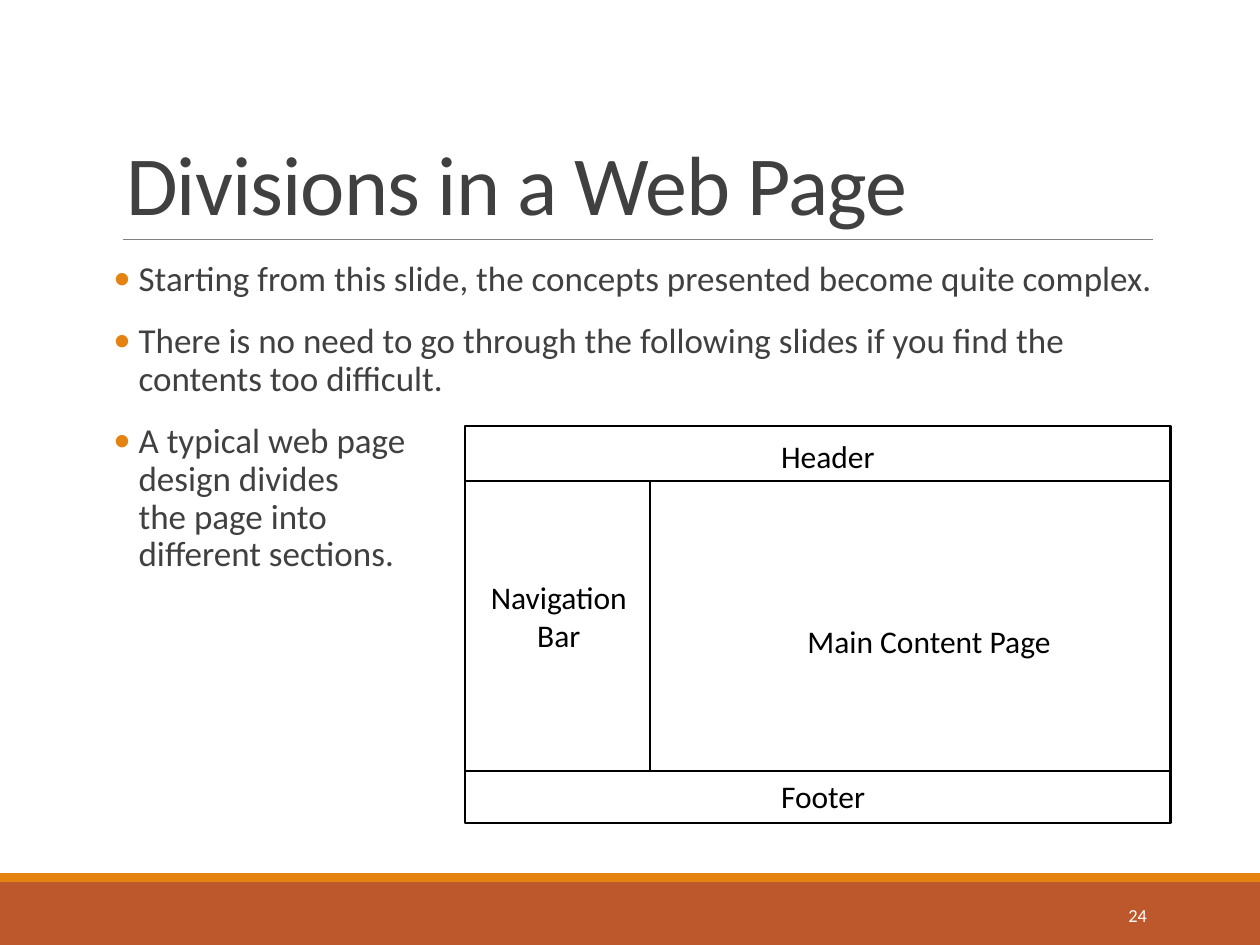
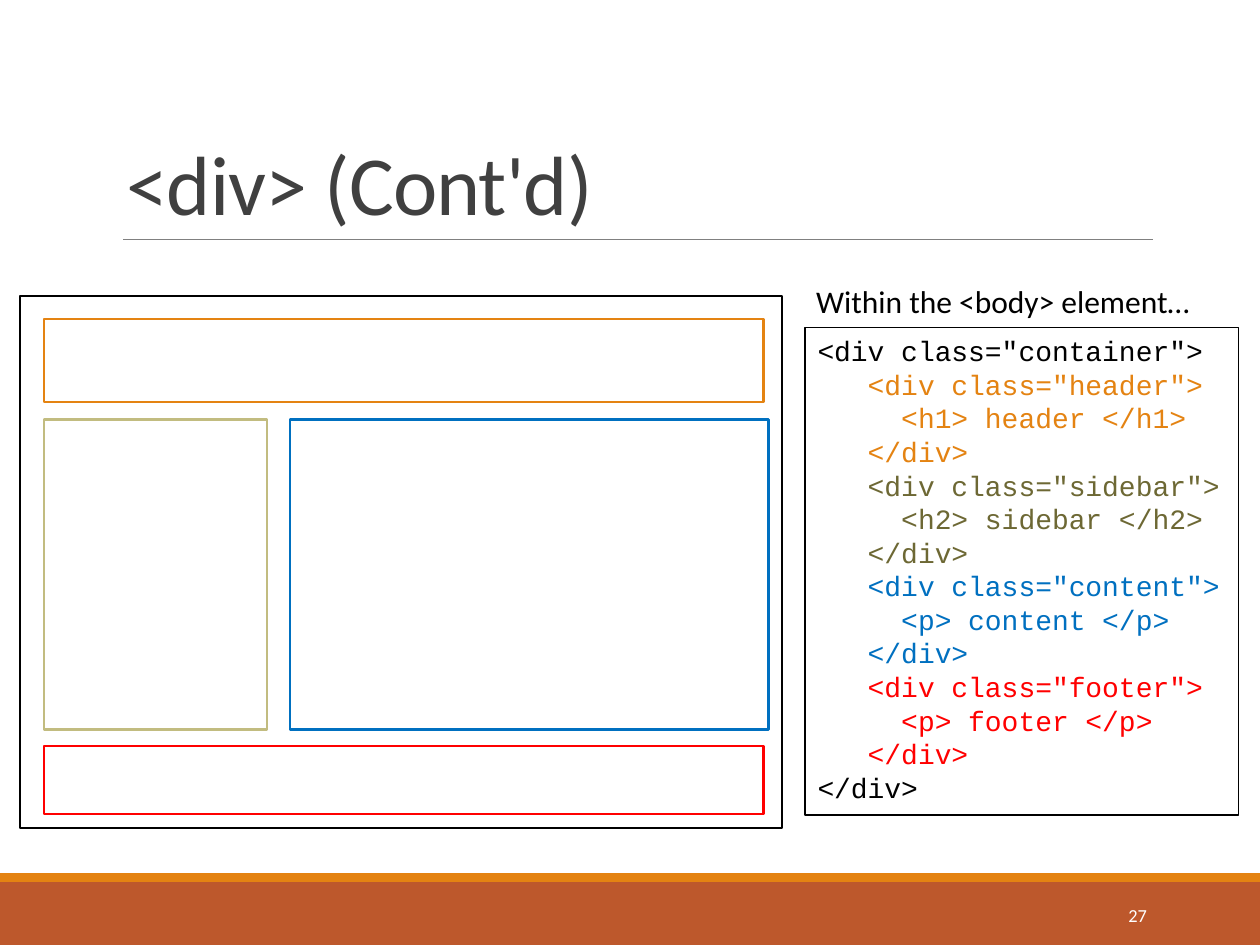
import copy

import pptx
import pptx.dml.color
import pptx.enum.shapes
import pptx.enum.text
import pptx.oxml
import pptx.oxml.ns
import pptx.util

PX = 9144
TITLE_AND_CONTENT, TITLE_ONLY = 1, 5
BLACK, WHITE, GREY, RULE_GREY = "000000", "FFFFFF", "404040", "808080"
ORANGE, RUST, BLUE, RED = "E48312", "BD582C", "0070C0", "FF0000"
SAND, OLIVE = "C2BC80", "6D6834"
ANCHOR = pptx.enum.text.MSO_ANCHOR
ALIGN = pptx.enum.text.PP_ALIGN
FIT = pptx.enum.text.MSO_AUTO_SIZE


def rgb(value):
    return pptx.dml.color.RGBColor.from_string(value)


def px(*lengths):
    return [length * PX for length in lengths]


def add_bullet(paragraph, color, indent):
    properties = paragraph._p.get_or_add_pPr()
    properties.set("marL", str(indent * PX))
    properties.set("indent", str(-indent * PX))
    namespace = pptx.oxml.ns.nsdecls("a")
    for xml in (
        f'<a:buClr {namespace}><a:srgbClr val="{color}"/></a:buClr>',
        f'<a:buFont {namespace} typeface="Calibri"/>',
        f'<a:buChar {namespace} char="•"/>',
    ):
        properties.append(pptx.oxml.parse_xml(xml))


def write(frame, text, size=18, font="Calibri", color=BLACK, align=ALIGN.LEFT,
          anchor=ANCHOR.TOP, wrap=True, fit=FIT.NONE, line_spacing=1.0,
          before=0, after=0, tracking=0, bullet=None):
    frame.word_wrap = wrap
    frame.auto_size = fit
    frame.vertical_anchor = anchor
    lines = [text] if isinstance(text, str) else text
    for index, line in enumerate(lines):
        words, line_color = (line, color) if isinstance(line, str) else line
        paragraph = frame.add_paragraph() if index else frame.paragraphs[0]
        paragraph.text = words
        paragraph.alignment = align
        paragraph.line_spacing = line_spacing
        paragraph.space_before = pptx.util.Pt(before if index else 0)
        paragraph.space_after = pptx.util.Pt(after)
        if bullet:
            add_bullet(paragraph, bullet, 20)
        for run in paragraph.runs:
            run.font.size = pptx.util.Pt(size)
            run.font.name = font
            run.font.color.rgb = rgb(line_color)
            if tracking:
                run.font._element.set("spc", str(tracking))
        for line_break in paragraph._p.findall(pptx.oxml.ns.qn("a:br")):
            line_break.append(copy.deepcopy(paragraph.runs[0].font._element))


class Deck:
    def __init__(self):
        self.presentation = pptx.Presentation()
        self.presentation.slide_width, self.presentation.slide_height = px(1000, 750)
        self.slide = None

    def start_slide(self, layout, title, number):
        layouts = self.presentation.slide_layouts
        self.slide = self.presentation.slides.add_slide(layouts[layout])
        self.box(0, 700, 1000, 50, fill=RUST)
        self.box(0, 693, 1000, 7, fill=ORANGE)
        self.line(98, 190, 915, 190, color=RULE_GREY, width=0.5)
        heading = self.place(self.slide.shapes.title, 90, 31, 825, 159)
        write(heading.text_frame, title, size=48, color=GREY, anchor=ANCHOR.BOTTOM,
              line_spacing=0.85, tracking=-50)
        self.label(number, 812, 706, 108, 40, size=10.5, color=WHITE,
                   align=ALIGN.RIGHT, anchor=ANCHOR.MIDDLE)

    def place(self, shape, left, top, width, height):
        shape.left, shape.top, shape.width, shape.height = px(left, top, width, height)
        return shape

    def bullets(self, items, left, top, width, height):
        body = self.place(self.slide.placeholders[1], left, top, width, height)
        frame = body.text_frame
        frame.margin_left = frame.margin_right = 0
        write(frame, items, size=20, color=GREY, line_spacing=0.9,
              before=12, after=2, bullet=ORANGE)

    def box(self, left, top, width, height, fill=None, line=None, weight=1.25):
        shape = self.slide.shapes.add_shape(
            pptx.enum.shapes.MSO_SHAPE.RECTANGLE, *px(left, top, width, height))
        shape.shadow.inherit = False
        if fill:
            shape.fill.solid()
            shape.fill.fore_color.rgb = rgb(fill)
        else:
            shape.fill.background()
        if line:
            shape.line.color.rgb = rgb(line)
            shape.line.width = pptx.util.Pt(weight)
        else:
            shape.line.fill.background()
        return shape

    def line(self, x1, y1, x2, y2, color=BLACK, width=1):
        connector = self.slide.shapes.add_connector(
            pptx.enum.shapes.MSO_CONNECTOR.STRAIGHT, *px(x1, y1, x2, y2))
        connector.line.color.rgb = rgb(color)
        connector.line.width = pptx.util.Pt(width)
        connector._element.spPr.append(pptx.oxml.parse_xml(
            f'<a:effectLst {pptx.oxml.ns.nsdecls("a")}/>'))

    def label(self, text, left, top, width, height, **style):
        textbox = self.slide.shapes.add_textbox(*px(left, top, width, height))
        write(textbox.text_frame, text, **style)


def build_divisions(deck):
    deck.start_slide(TITLE_AND_CONTENT, "Divisions in a Web Page", "24")
    deck.bullets([
        "Starting from this slide, the concepts presented become quite complex.",
        "There is no need to go through the following slides if you find the contents too difficult.",
        "A typical web page\ndesign divides\nthe page into\ndifferent sections.",
    ], 90, 202, 825, 440)
    left, right, header_bottom, footer_top, sidebar_right = 369, 929, 382, 612, 516
    deck.box(left, 338, right - left, 315, fill=WHITE, line=BLACK)
    for divider in (header_bottom, footer_top):
        deck.line(left, divider, right, divider)
    deck.line(sidebar_right, header_bottom, sidebar_right, footer_top)
    deck.label("Navigation Bar", 370, 454, 147, 71, align=ALIGN.CENTER,
               fit=FIT.SHAPE_TO_FIT_TEXT)
    for section, x, y, width in (
        ("Header", 610, 342, 95),
        ("Main Content Page", 631, 489, 216),
        ("Footer", 610, 612, 88),
    ):
        deck.label(section, x, y, width, 40, wrap=False, fit=FIT.SHAPE_TO_FIT_TEXT)


def build_div_code(deck):
    deck.start_slide(TITLE_ONLY, "<div> (Cont'd)", "27")
    for left, top, width, height, fill, outline in (
        (16, 235, 605, 422, WHITE, BLACK),
        (35, 253, 571, 66, WHITE, ORANGE),
        (35, 333, 177, 246, WHITE, SAND),
        (230, 333, 380, 246, None, BLUE),
        (35, 592, 571, 54, WHITE, RED),
    ):
        deck.box(left, top, width, height, fill=fill, line=outline)

    code = ['<div class="container">']
    for section, tag, color in (
        ("header", "h1", ORANGE),
        ("sidebar", "h2", OLIVE),
        ("content", "p", BLUE),
        ("footer", "p", RED),
    ):
        code += [
            (f'   <div class="{section}">', color),
            (f"     <{tag}> {section} </{tag}>", color),
            ("   </div>", color),
        ]
    code.append("</div>")
    listing = deck.box(639, 260, 344, 387, line=BLACK, weight=0.75)
    write(listing.text_frame, code, size=16, font="Courier New", wrap=False,
          fit=FIT.SHAPE_TO_FIT_TEXT)
    deck.label("Within the <body> element…", 638, 219, 320, 40, wrap=False,
               fit=FIT.SHAPE_TO_FIT_TEXT)


def main():
    deck = Deck()
    build_divisions(deck)
    build_div_code(deck)
    deck.presentation.save("out.pptx")


if __name__ == "__main__":
    main()
